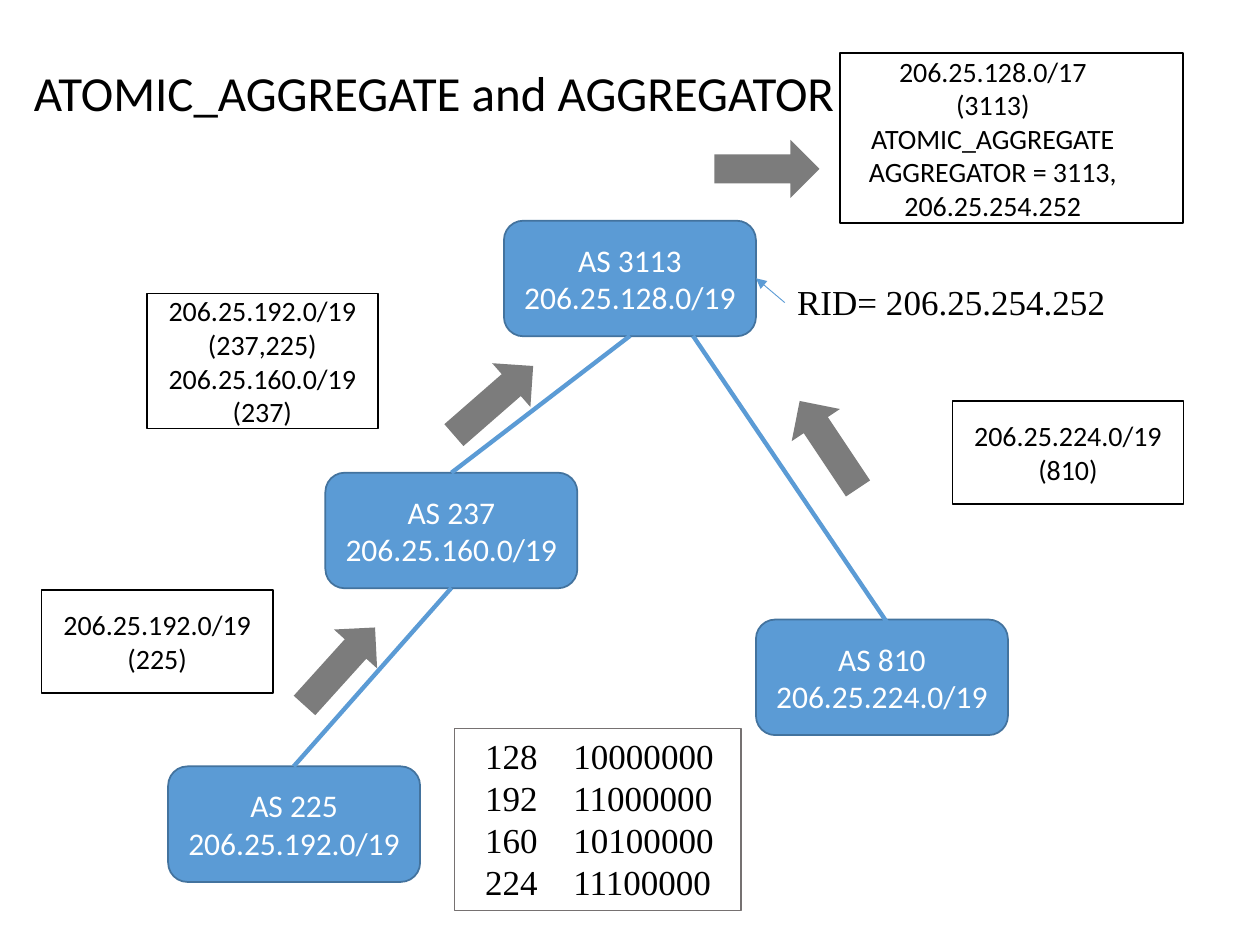
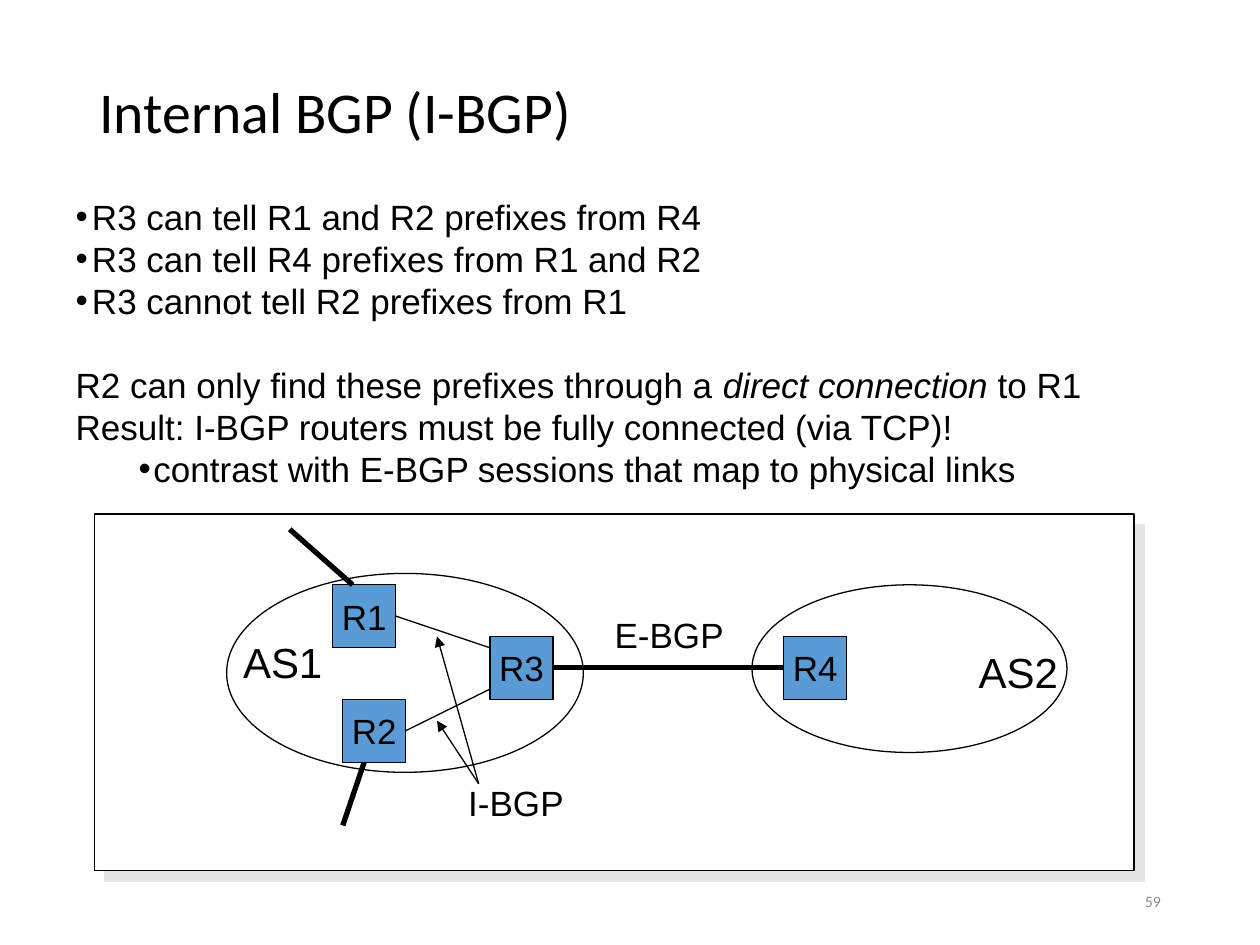
"""Two slides on BGP: route aggregation and internal sessions."""
from dataclasses import dataclass
from typing import Any, NamedTuple, Optional

import lxml.etree
import pptx
import pptx.dml.color
import pptx.enum.shapes
import pptx.enum.text
import pptx.oxml.ns
import pptx.util

Cm = pptx.util.Cm
Pt = pptx.util.Pt
RGBColor = pptx.dml.color.RGBColor
Shape = pptx.enum.shapes.MSO_SHAPE
Align = pptx.enum.text.PP_ALIGN
Anchor = pptx.enum.text.MSO_ANCHOR
AutoSize = pptx.enum.text.MSO_AUTO_SIZE

BLACK = RGBColor(0x00, 0x00, 0x00)
WHITE = RGBColor(0xFF, 0xFF, 0xFF)
BLUE = RGBColor(0x5B, 0x9B, 0xD5)
DARK_BLUE = RGBColor(0x43, 0x73, 0x9E)
ARROW_GREY = RGBColor(0x7C, 0x7C, 0x7C)
BORDER_GREY = RGBColor(0x76, 0x71, 0x71)
NUMBER_GREY = RGBColor(0x8C, 0x8C, 0x8C)
SHADOW_GREY = RGBColor(0xE7, 0xE6, 0xE6)


class Area(NamedTuple):
    """Position and size in centimetres."""
    left: float
    top: float
    width: float
    height: float

    def lengths(self) -> list:
        """Return the four values as slide lengths."""
        return [Cm(value) for value in self]


class Font(NamedTuple):
    """Typeface, size in points and colour."""
    name: str
    size: float
    color: RGBColor = BLACK


class Line(NamedTuple):
    """A straight line, in centimetres, with its look."""
    start: tuple
    end: tuple
    color: RGBColor = BLACK
    width: float = 0.75
    arrow: bool = False


@dataclass
class Bullet:
    """One paragraph of the body text."""
    text: str
    bulleted: bool = True
    level: int = 0
    left: float = 0.33
    hanging: float = 0.33
    before: float = 0
    emphasis: str = ""


NODE_FONT = Font("Calibri", 18, WHITE)
ROUTE_FONT = Font("Calibri", 16)
SERIF_FONT = Font("Times New Roman", 20)
BODY_FONT = Font("Arial", 20)
AREA_FONT = Font("Arial", 24)
NUMBER_FONT = Font("Calibri", 9, NUMBER_GREY)


def add_xml(parent: Any, tag: str, **attributes: Any) -> Any:
    """Append a DrawingML element to its parent."""
    values = {key: str(value) for key, value in attributes.items()}
    return lxml.etree.SubElement(parent, pptx.oxml.ns.qn(tag), values)


def format_text(frame: Any, font: Font, align: Any = Align.LEFT) -> None:
    """Format every paragraph and run of a text frame."""
    for para in frame.paragraphs:
        para.alignment = align
        for span in para.runs:
            span.font.name = font.name
            span.font.size = Pt(font.size)
            span.font.color.rgb = font.color


def place(shape: Any, area: Area) -> None:
    """Move and size a shape."""
    shape.left, shape.top, shape.width, shape.height = area.lengths()


def set_title(page: Any, text: str, area: Area, size: float) -> None:
    """Fill, place and format the title placeholder."""
    title = page.shapes.title
    place(title, area)
    frame = title.text_frame
    frame.text = text
    frame.auto_size = AutoSize.NONE
    frame.vertical_anchor = Anchor.MIDDLE
    frame.paragraphs[0].line_spacing = 0.9
    format_text(frame, Font("Calibri", size))


def add_box(page: Any, kind: Any, area: Area, fill: Optional[RGBColor],
            border: Optional[RGBColor], width: float = 0.75) -> Any:
    """Draw a preset shape without shadow."""
    box = page.shapes.add_shape(kind, *area.lengths())
    box.shadow.inherit = False
    if fill is None:
        box.fill.background()
    else:
        box.fill.solid()
        box.fill.fore_color.rgb = fill
    if border is None:
        box.line.fill.background()
    else:
        box.line.color.rgb = border
        box.line.width = Pt(width)
    return box


def write_centred(box: Any, text: str, font: Font, wrap: bool = True) -> None:
    """Centre text in a shape both ways."""
    frame = box.text_frame
    frame.text = text
    frame.word_wrap = wrap
    frame.vertical_anchor = Anchor.MIDDLE
    format_text(frame, font, Align.CENTER)


def add_label(page: Any, text: str, area: Area, font: Font) -> None:
    """Add a one-line label."""
    frame = page.shapes.add_textbox(*area.lengths()).text_frame
    frame.text = text
    frame.word_wrap = False
    frame.auto_size = AutoSize.SHAPE_TO_FIT_TEXT
    format_text(frame, font)


def add_line(page: Any, line: Line) -> None:
    """Draw a straight line, with an arrowhead if wanted."""
    ends = [Cm(value) for value in line.start + line.end]
    connector = page.shapes.add_connector(
        pptx.enum.shapes.MSO_CONNECTOR.STRAIGHT, *ends)
    connector.line.color.rgb = line.color
    connector.line.width = Pt(line.width)
    if line.arrow:
        add_xml(connector.get_or_add_ln(), "a:tailEnd", type="triangle")
    add_xml(connector.element.spPr, "a:effectLst")


def add_offset_shadow(box: Any, color: RGBColor) -> None:
    """Give a shape a hard shadow to the lower right."""
    effects = box.element.spPr.find(pptx.oxml.ns.qn("a:effectLst"))
    shadow = add_xml(effects, "a:outerShdw", blurRad=0, dist=Pt(8.5),
                     dir=45 * 60000, algn="ctr", rotWithShape=0)
    add_xml(shadow, "a:srgbClr", val=color)


def add_page_number(page: Any, number: int, area: Area) -> None:
    """Add the slide number at the lower right."""
    frame = page.shapes.add_textbox(*area.lengths()).text_frame
    frame.text = str(number)
    frame.word_wrap = True
    frame.vertical_anchor = Anchor.MIDDLE
    format_text(frame, NUMBER_FONT, Align.RIGHT)


def fill_body(body: Any, bullets: list) -> None:
    """Write the bullets into the body placeholder."""
    frame = body.text_frame
    frame.text = "\n".join(bullet.text for bullet in bullets)
    frame.auto_size = AutoSize.NONE
    frame.word_wrap = True
    for para, bullet in zip(frame.paragraphs, bullets):
        if bullet.emphasis:
            before, strong, after = bullet.text.partition(bullet.emphasis)
            para.text = before
            span = para.add_run()
            span.text = strong
            span.font.italic = True
            para.add_run().text = after
        para.level = bullet.level
        para.line_spacing = 1.0
        para.space_before = Pt(bullet.before)
        para.space_after = Pt(0)
        properties = para._p.get_or_add_pPr()
        properties.set("marL", str(Cm(bullet.left)))
        properties.set("indent", str(-Cm(bullet.hanging)))
        if bullet.bulleted:
            add_xml(properties, "a:buFont", typeface="Arial")
            add_xml(properties, "a:buChar", char="•")
        else:
            add_xml(properties, "a:buNone")
    format_text(frame, BODY_FONT)


def build_aggregation(deck: Any) -> None:
    """Build the slide on aggregated routes between four systems."""
    page = deck.slides.add_slide(deck.slide_layouts[5])
    set_title(page, "ATOMIC_AGGREGATE and AGGREGATOR",
              Area(0.43, 0.64, 21.9, 2.59), 28)

    systems = [("AS 3113\n206.25.128.0/19", 10.16, 4.45),
               ("AS 237\n206.25.160.0/19", 6.56, 9.53),
               ("AS 225\n206.25.192.0/19", 3.39, 15.45),
               ("AS 810\n206.25.224.0/19", 15.24, 12.49)]
    for text, left, top in systems:
        box = add_box(page, Shape.ROUNDED_RECTANGLE, Area(left, top, 5.08, 2.33),
                      BLUE, DARK_BLUE, 1)
        write_centred(box, text, NODE_FONT)

    summary = add_box(page, Shape.RECTANGLE, Area(16.94, 1.07, 6.91, 3.43),
                      WHITE, BLACK, 1)
    write_centred(summary, "206.25.128.0/17\n(3113)\nATOMIC_AGGREGATE\n"
                  "AGGREGATOR = 3113, 206.25.254.252", ROUTE_FONT)
    summary.text_frame.margin_left = Cm(0)
    summary.text_frame.margin_right = Cm(0.76)

    routes = [("206.25.224.0/19\n(810)", 19.2, 8.08, 2.08),
              ("206.25.192.0/19\n(237,225)\n206.25.160.0/19\n(237)",
               2.96, 5.92, 2.72),
              ("206.25.192.0/19\n(225)", 0.84, 11.89, 2.08)]
    for text, left, top, height in routes:
        box = add_box(page, Shape.RECTANGLE, Area(left, top, 4.66, height),
                      WHITE, BLACK, 1)
        write_centred(box, text, ROUTE_FONT)

    for start, end in [((12.7, 6.77), (9.1, 9.53)),
                       ((9.1, 11.85), (5.92, 15.45)),
                       ((13.97, 6.77), (18.14, 12.93))]:
        add_line(page, Line(start, end, BLUE, 2.5))

    for left, top, angle in [(5.79, 12.85, 312.1), (8.89, 7.49, 318.9),
                             (15.65, 8.38, 236.3), (14.4, 2.82, 0)]:
        arrow = add_box(page, Shape.RIGHT_ARROW, Area(left, top, 2.12, 1.17),
                        ARROW_GREY, None)
        arrow.rotation = angle

    add_label(page, "RID= 206.25.254.252", Area(15.82, 5.54, 6.78, 1.12), SERIF_FONT)
    add_line(page, Line((15.82, 6.1), (15.24, 5.61), BLUE, 0.5, arrow=True))

    octets = add_box(page, Shape.RECTANGLE, Area(9.17, 14.68, 5.77, 3.68),
                     None, BORDER_GREY)
    frame = octets.text_frame
    frame.text = "\n".join(f"{octet}\t{octet:08b}" for octet in (128, 192, 160, 224))
    frame.margin_left = Cm(0.61)
    frame.vertical_anchor = Anchor.TOP
    format_text(frame, SERIF_FONT)
    for para in frame.paragraphs:
        stops = add_xml(para._p.get_or_add_pPr(), "a:tabLst")
        add_xml(stops, "a:tab", pos=Cm(1.78), algn="l")


def build_internal(deck: Any) -> None:
    """Build the slide on internal BGP sessions."""
    page = deck.slides.add_slide(deck.slide_layouts[1])
    set_title(page, "Internal BGP (I-BGP)", Area(1.75, 1.02, 21.9, 2.59), 33)
    body = page.placeholders[1]
    place(body, Area(1.27, 3.81, 23.29, 6.17))
    fill_body(body, [
        Bullet("R3 can tell R1 and R2 prefixes from R4"),
        Bullet("R3 can tell R4 prefixes from R1 and R2"),
        Bullet("R3 cannot tell R2 prefixes from R1"),
        Bullet("R2 can only find these prefixes through a direct connection to R1",
               bulleted=False, before=24, emphasis="direct connection"),
        Bullet("Result: I-BGP routers must be fully connected (via TCP)!",
               bulleted=False),
        Bullet("contrast with E-BGP sessions that map to physical links",
               level=1, left=1.57, hanging=0.3)])
    add_page_number(page, 59, Area(17.93, 17.65, 5.72, 1.02))

    panel = add_box(page, Shape.RECTANGLE, Area(1.9, 10.36, 20.96, 7.19), WHITE, BLACK)
    add_offset_shadow(panel, SHADOW_GREY)
    for area in (Area(4.57, 11.56, 7.19, 4.01), Area(15.16, 11.79, 6.35, 3.38)):
        add_box(page, Shape.OVAL, area, WHITE, BLACK)

    for name, left, top in [("R3", 9.88, 12.83), ("R4", 15.8, 12.83),
                            ("R1", 6.71, 11.79), ("R2", 6.91, 14.1)]:
        router = add_box(page, Shape.RECTANGLE, Area(left, top, 1.27, 1.27), BLUE, BLACK)
        write_centred(router, name, BODY_FONT, wrap=False)

    for line in [Line((11.15, 13.46), (15.8, 13.46), width=3),
                 Line((7.11, 11.79), (5.84, 10.67), width=3),
                 Line((7.34, 15.37), (6.91, 16.64), width=3),
                 Line((7.98, 12.42), (9.88, 13.06)),
                 Line((8.18, 14.73), (9.88, 13.89)),
                 Line((9.65, 15.8), (8.81, 14.53), arrow=True),
                 Line((9.65, 15.8), (8.81, 12.83), arrow=True)]:
        add_line(page, line)

    add_label(page, "E-BGP", Area(12.14, 12.24, 2.72, 1.09), BODY_FONT)
    add_label(page, "I-BGP", Area(9.19, 15.62, 2.44, 1.09), BODY_FONT)
    add_label(page, "AS1", Area(4.65, 12.7, 2.11, 1.27), AREA_FONT)
    add_label(page, "AS2", Area(19.48, 12.9, 2.11, 1.27), AREA_FONT)


deck = pptx.Presentation()
deck.slide_width, deck.slide_height = Cm(25.4), Cm(19.05)
build_aggregation(deck)
build_internal(deck)
deck.save("out.pptx")
